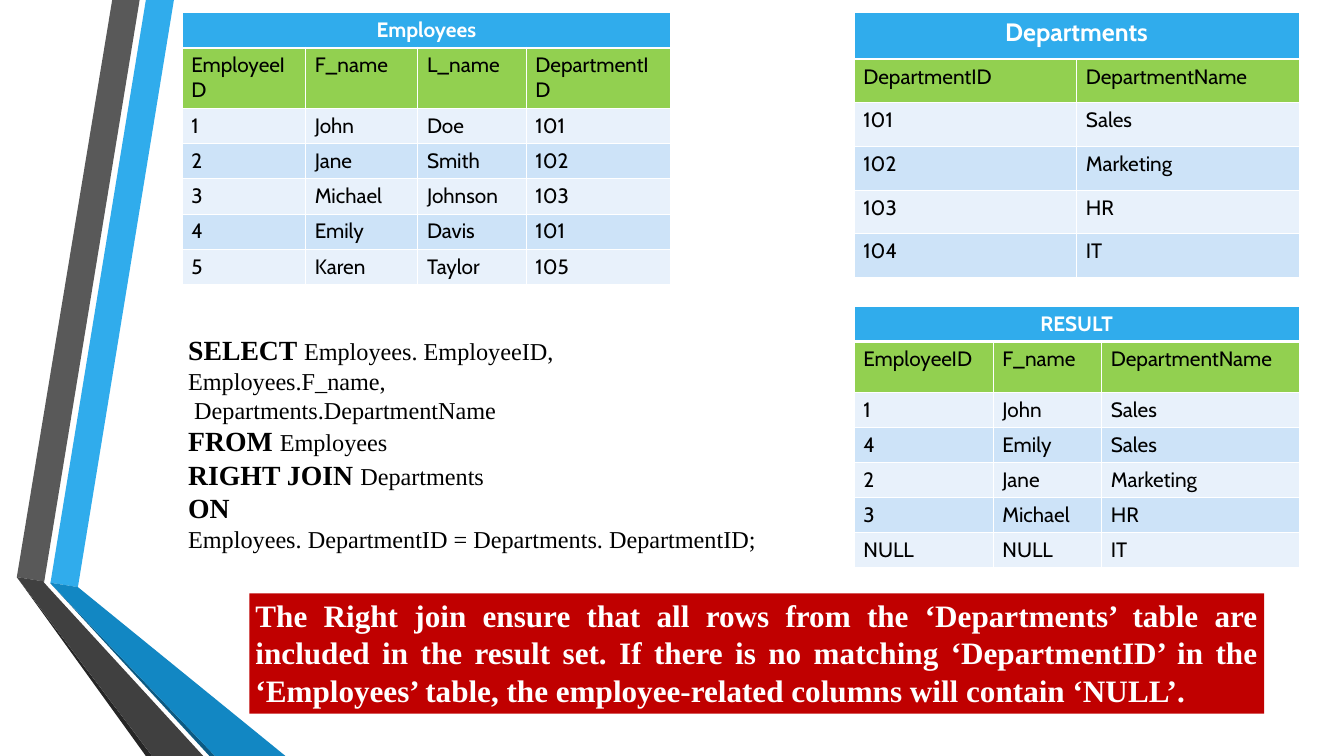
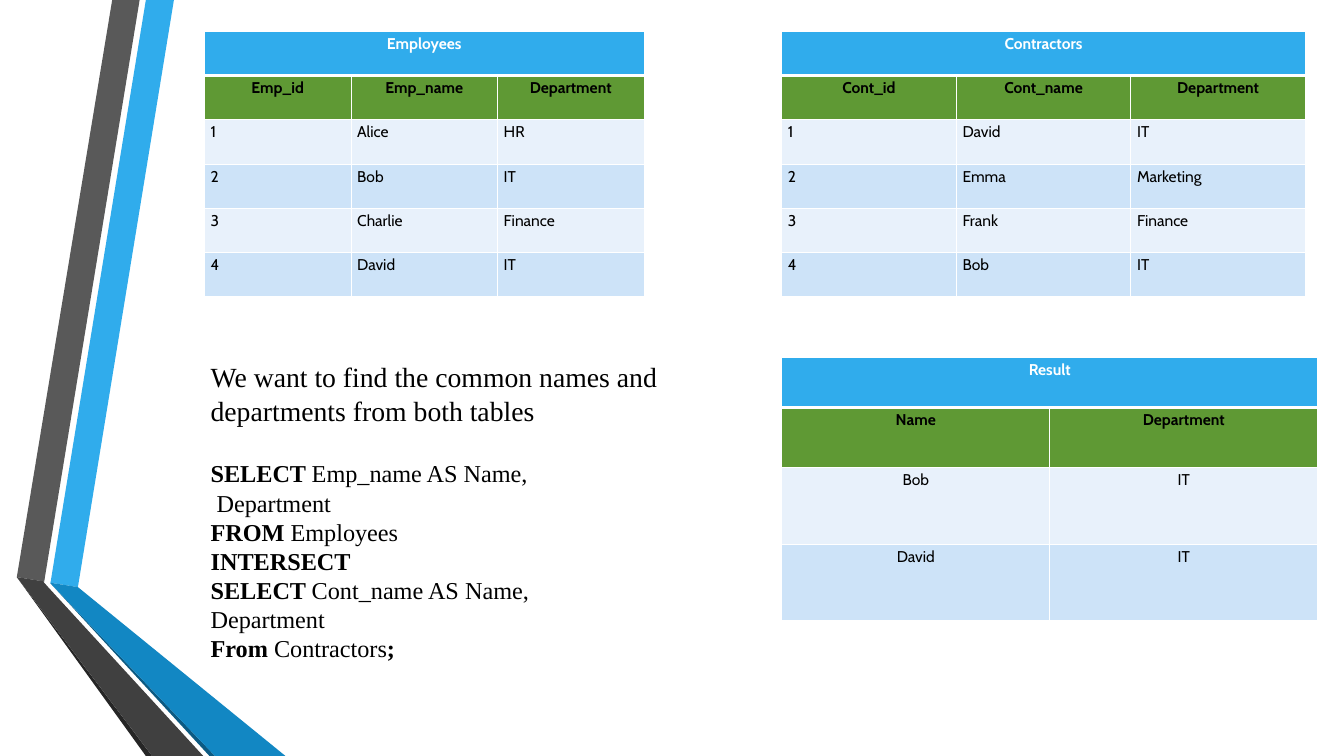
from dataclasses import dataclass

from lxml.etree import SubElement
from pptx import Presentation
from pptx.dml.color import RGBColor
from pptx.enum.shapes import MSO_SHAPE
from pptx.enum.text import MSO_ANCHOR, PP_ALIGN
from pptx.oxml.ns import qn
from pptx.util import Pt

PX = 9144
SLIDE_WIDTH, SLIDE_HEIGHT = 2156, 1213

WHITE = RGBColor(0xFF, 0xFF, 0xFF)
BLACK = RGBColor(0x00, 0x00, 0x00)
BLUE = RGBColor(0x30, 0xAC, 0xEC)
MID_BLUE = RGBColor(0x12, 0x87, 0xC3)
DEEP_BLUE = RGBColor(0x0C, 0x5A, 0x82)
GREY = RGBColor(0x59, 0x59, 0x59)
DARK_GREY = RGBColor(0x40, 0x40, 0x40)
NEAR_BLACK = RGBColor(0x26, 0x26, 0x26)
LIME = RGBColor(0x92, 0xD0, 0x50)
GREEN = RGBColor(0x5F, 0x99, 0x34)
RED = RGBColor(0xC0, 0x00, 0x00)
ROW_FILLS = (RGBColor(0xE8, 0xF1, 0xFB), RGBColor(0xCD, 0xE3, 0xF8))

TABLE_FONT = "Cabin"
TEXT_FONT = "Times New Roman"

RIBBONS = [
    (BLUE, [(81, 935), (125, 942), (279, 0), (234, 0)]),
    (GREY, [(224, 0), (180, 0), (27, 926), (71, 933)]),
    (NEAR_BLACK, [(27, 926), (234, 1213), (244, 1213)]),
    (DEEP_BLUE, [(81, 936), (336, 1213), (345, 1213)]),
    (MID_BLUE, [(81, 936), (345, 1213), (458, 1213), (125, 942), (81, 935)]),
    (DARK_GREY, [(326, 1213), (78, 943), (70, 934), (71, 933), (27, 926), (244, 1213)]),
]


@dataclass(frozen=True)
class TableStyle:
    heading_fill: RGBColor
    size: int
    margins: tuple
    heading_bold: bool
    heading_align: PP_ALIGN


JOIN_STYLE = TableStyle(LIME, 24, (15, 8), False, PP_ALIGN.LEFT)
SET_STYLE = TableStyle(GREEN, 18, (10, 5), True, PP_ALIGN.CENTER)


def place(left, top, width, height):
    return [value * PX for value in (left, top, width, height)]


def set_font(font, name, color, size=None, bold=None):
    font.name = name
    font.color.rgb = color
    font.bold = bold
    if size:
        font.size = Pt(size)


def paint(shape, color):
    shape.shadow.inherit = False
    shape.fill.solid()
    shape.fill.fore_color.rgb = color
    shape.line.fill.background()


def add_ribbons(layout, slide):
    for color, points in RIBBONS:
        builder = slide.shapes.build_freeform(*points[0], scale=PX)
        builder.add_line_segments(points[1:], close=True)
        ribbon = builder.convert_to_shape()
        paint(ribbon, color)
        layout.shapes.element.append(ribbon.element)


def set_borders(cell, top, bottom):
    properties = cell._tc.get_or_add_tcPr()
    for side, points in (("L", 1), ("R", 1), ("T", top), ("B", bottom)):
        line = SubElement(properties, qn(f"a:ln{side}"), w=str(Pt(points)))
        fill = SubElement(line, qn("a:solidFill"))
        SubElement(fill, qn("a:srgbClr"), val=str(WHITE))


def fill_cell(cell, text, style, fill, color, size, bold, align):
    cell.margin_left = cell.margin_right = style.margins[0] * PX
    cell.margin_top = cell.margin_bottom = style.margins[1] * PX
    cell.fill.solid()
    cell.fill.fore_color.rgb = fill
    cell.text = text
    paragraph = cell.text_frame.paragraphs[0]
    paragraph.alignment = align
    set_font(paragraph.font, TABLE_FONT, color, size, bold)


def add_titled_table(slide, position, widths, heights, title, rows, style,
                     title_size=None, body_align=PP_ALIGN.LEFT):
    frame = slide.shapes.add_table(len(heights), len(widths),
                                   *place(*position, sum(widths), sum(heights)))
    table = frame.table
    for column, width in zip(table.columns, widths):
        column.width = width * PX
    for row, height in zip(table.rows, heights):
        row.height = height * PX
    for row_index, row in enumerate(table.rows):
        for cell in row.cells:
            set_borders(cell, 3 if row_index == 1 else 1, 3 if row_index == 0 else 1)

    table.cell(0, 0).merge(table.cell(0, len(widths) - 1))
    fill_cell(table.cell(0, 0), title, style, BLUE, WHITE,
              title_size or style.size, True, PP_ALIGN.CENTER)
    for row_index, texts in enumerate(rows):
        if row_index == 0:
            look = (style.heading_fill, BLACK, style.size, style.heading_bold, style.heading_align)
        else:
            look = (ROW_FILLS[(row_index - 1) % 2], BLACK, style.size, False, body_align)
        for column_index, text in enumerate(texts):
            fill_cell(table.cell(row_index + 1, column_index), text, style, *look)


def add_query(slide, position, lines, keyword_size, text_size, intro=None):
    frame = slide.shapes.add_textbox(*place(*position)).text_frame
    frame.word_wrap = True
    paragraph = frame.paragraphs[0]
    if intro:
        paragraph.text = intro
        set_font(paragraph.font, TEXT_FONT, BLACK, 32, False)
        paragraph = frame.add_paragraph()
        paragraph.space_before = Pt(37)
    for index, parts in enumerate(lines):
        if index:
            paragraph = frame.add_paragraph()
        set_font(paragraph.font, TEXT_FONT, BLACK)
        for part_index, text in enumerate(parts):
            if text:
                run = paragraph.add_run()
                run.text = text
                run.font.bold = part_index != 1
                run.font.size = Pt(text_size if part_index == 1 else keyword_size)


def add_note(slide, position, text):
    note = slide.shapes.add_shape(MSO_SHAPE.RECTANGLE, *place(*position))
    paint(note, RED)
    frame = note.text_frame
    frame.word_wrap = True
    frame.vertical_anchor = MSO_ANCHOR.TOP
    paragraph = frame.paragraphs[0]
    paragraph.text = text
    paragraph.alignment = PP_ALIGN.JUSTIFY
    set_font(paragraph.font, TEXT_FONT, WHITE, 36, True)


def build_right_join(slide):
    add_titled_table(slide, (1370, 20), [357] * 2, [75] + [70] * 5, "Departments", [
        ("DepartmentID", "DepartmentName"),
        ("101", "Sales"),
        ("102", "Marketing"),
        ("103", "HR"),
        ("104", "IT"),
    ], JOIN_STYLE, title_size=29)
    add_titled_table(slide, (292, 20), [198, 180, 174, 232], [52, 96] + [56] * 5, "Employees", [
        ("EmployeeID", "F_name", "L_name", "DepartmentID"),
        ("1", "John", "Doe", "101"),
        ("2", "Jane", "Smith", "102"),
        ("3", "Michael", "Johnson", "103"),
        ("4", "Emily", "Davis", "101"),
        ("5", "Karen", "Taylor", "105"),
    ], JOIN_STYLE)
    add_query(slide, (292, 529, 1323, 367), [
        ("SELECT ", "Employees. EmployeeID,"),
        ("", "Employees.F_name,"),
        ("", " Departments.DepartmentName"),
        ("FROM ", "Employees"),
        ("RIGHT JOIN ", "Departments"),
        ("ON",),
        ("", "Employees. DepartmentID = Departments. DepartmentID;"),
    ], 32, 28)
    add_titled_table(slide, (1370, 492), [223, 174, 317], [54, 82] + [55] * 5, "RESULT", [
        ("EmployeeID", "F_name", "DepartmentName"),
        ("1", "John", "Sales"),
        ("4", "Emily", "Sales"),
        ("2", "Jane", "Marketing"),
        ("3", "Michael", "HR"),
        ("NULL", "NULL", "IT"),
    ], JOIN_STYLE)
    add_note(slide, (400, 952, 1628, 193),
             "The Right join ensure that all rows from the ‘Departments’ table are included "
             "in the result set. If there is no matching ‘DepartmentID’ in the ‘Employees’ "
             "table, the employee-related columns will contain ‘NULL’.")


def build_intersect(slide):
    add_titled_table(slide, (328, 50), [235] * 3, [71] * 6, "Employees", [
        ("Emp_id", "Emp_name", "Department"),
        ("1", "Alice", "HR"),
        ("2", "Bob", "IT"),
        ("3", "Charlie", "Finance"),
        ("4", "David", "IT"),
    ], SET_STYLE)
    add_titled_table(slide, (1254, 50), [280] * 3, [71] * 6, "Contractors", [
        ("Cont_id", "Cont_name", "Department"),
        ("1", "David", "IT"),
        ("2", "Emma", "Marketing"),
        ("3", "Frank", "Finance"),
        ("4", "Bob", "IT"),
    ], SET_STYLE)
    add_query(slide, (328, 573, 789, 502), [
        ("SELECT ", "Emp_name AS Name,"),
        ("", " Department"),
        ("FROM ", "Employees"),
        ("INTERSECT",),
        ("SELECT ", "Cont_name AS Name,"),
        ("", "Department"),
        ("From ", "Contractors", ";"),
    ], 28, 28, intro="We want to find the common names and departments from both tables")
    add_titled_table(slide, (1254, 573), [430] * 2, [81, 96, 123, 123], "Result", [
        ("Name", "Department"),
        ("Bob", "IT"),
        ("David", "IT"),
    ], SET_STYLE, body_align=PP_ALIGN.CENTER)


def main():
    presentation = Presentation()
    presentation.slide_width = SLIDE_WIDTH * PX
    presentation.slide_height = SLIDE_HEIGHT * PX
    blank_layout = presentation.slide_layouts[6]
    right_join, intersect = (presentation.slides.add_slide(blank_layout) for _ in range(2))
    add_ribbons(blank_layout, right_join)
    build_right_join(right_join)
    build_intersect(intersect)
    presentation.save("out.pptx")


if __name__ == "__main__":
    main()
